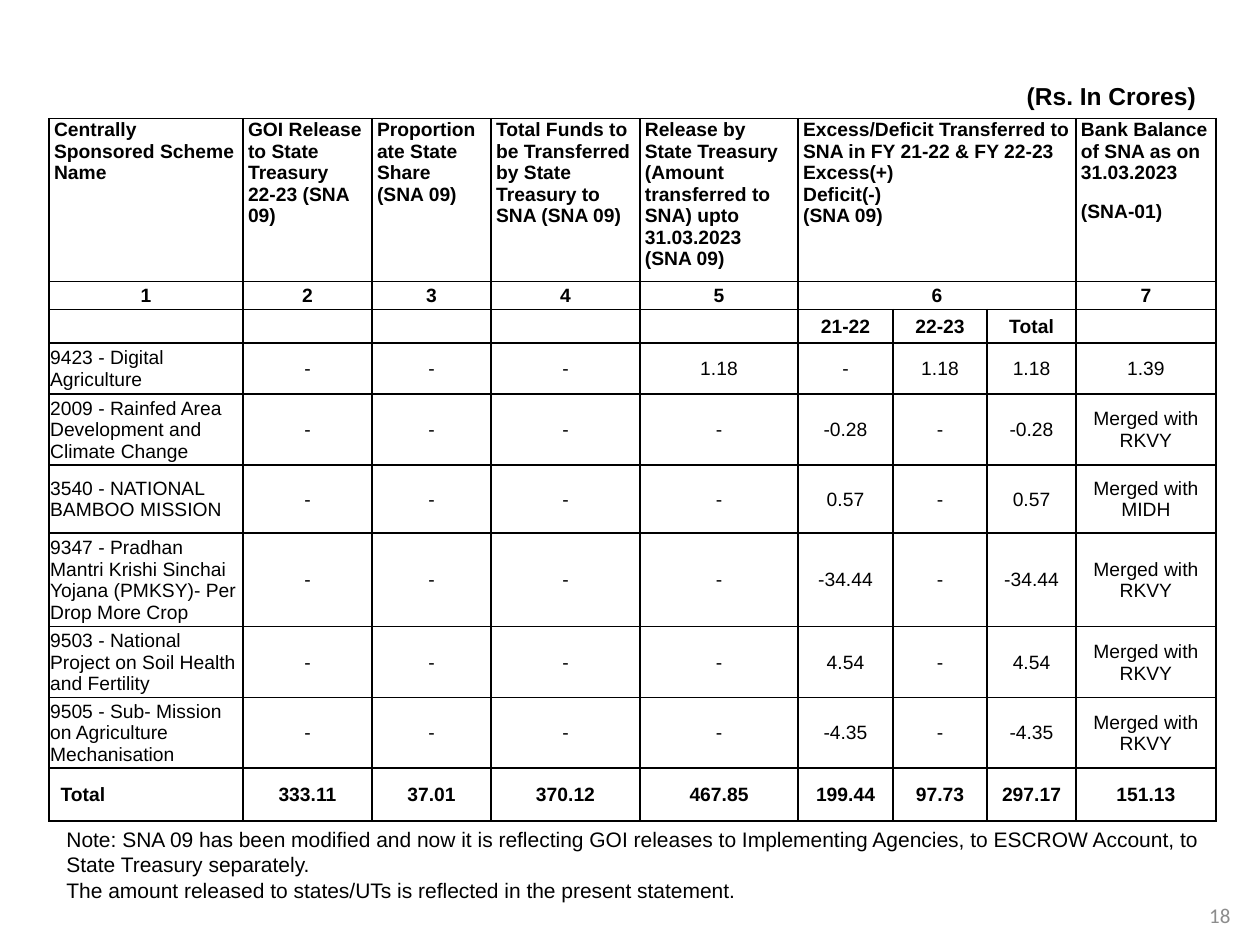
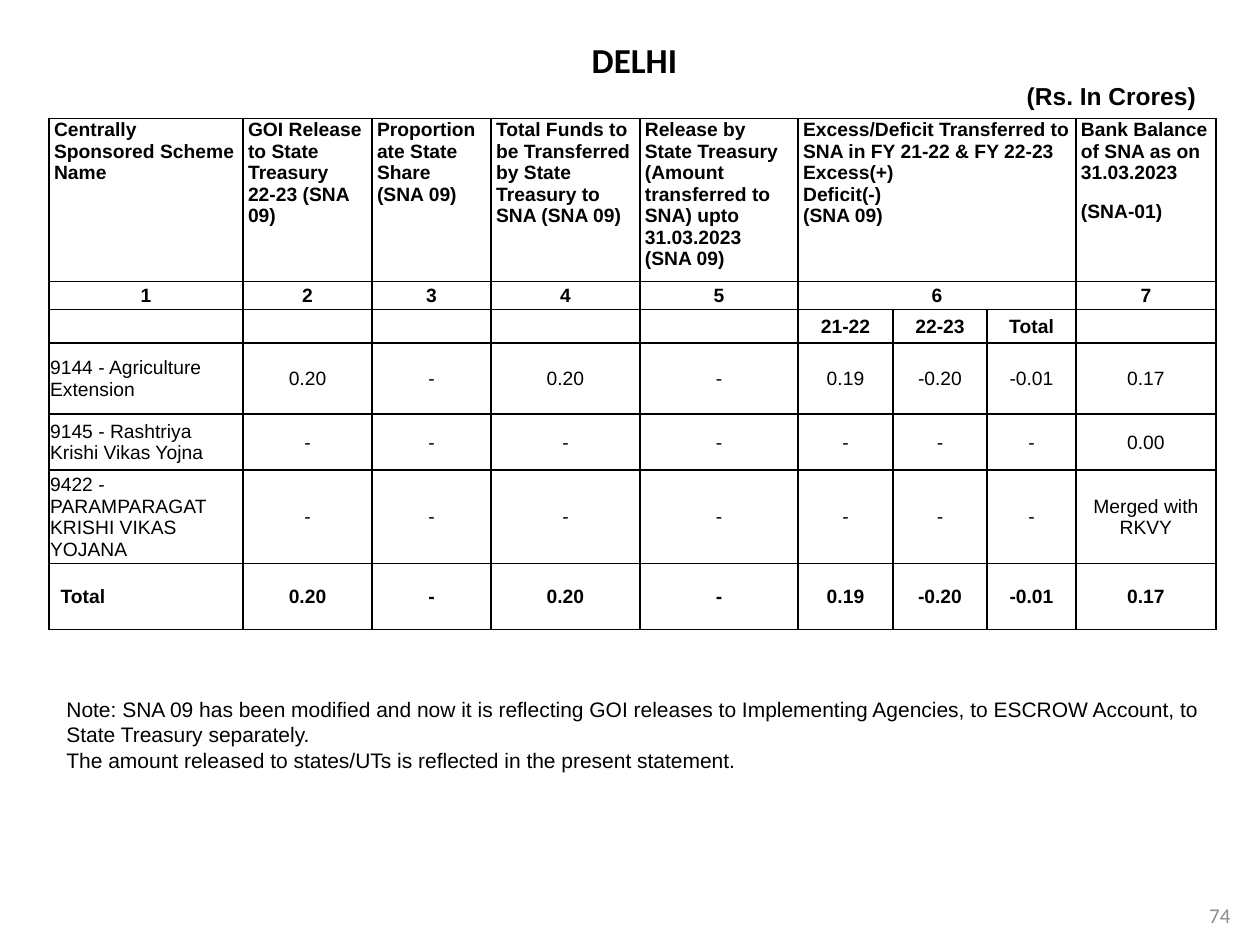
from lxml.etree import SubElement
from pptx import Presentation
from pptx.dml.color import RGBColor
from pptx.enum.text import MSO_ANCHOR as Anchor, MSO_AUTO_SIZE as AutoSize, PP_ALIGN as Align
from pptx.oxml.ns import qn
from pptx.util import Cm, Pt

BLACK, GREY = "000000", "8C8C8C"
TITLE_ONLY, BLANK = 5, 6
LEFT, TEXT_WIDTH = 1.09, 23.4
TABLE_LEFT, TABLE_TOP = 0.99, 2.39
COLUMN_WIDTHS = [3.91, 2.6, 2.4, 3, 3.19, 1.91, 1.9, 1.79, 2.82]
HEAD_HEIGHTS = [3.28, 0.57, 0.67]
SPAN_FIRST, SPAN_LAST = 5, 7

HEADINGS = {
    0: ["Centrally Sponsored Scheme Name"],
    1: ["GOI Release to State Treasury\n22-23 (SNA 09)"],
    2: ["Proportionate State Share\n(SNA 09)"],
    3: ["Total Funds to be Transferred by State Treasury to SNA (SNA 09)"],
    4: ["Release by State Treasury (Amount transferred to SNA) upto 31.03.2023 (SNA 09)"],
    5: ["Excess/Deficit Transferred to SNA in FY 21-22 & FY 22-23",
        "Excess(+)", "Deficit(-)", "(SNA 09)"],
    8: ["Bank Balance of SNA as on 31.03.2023", "(SNA-01)"],
}
SUBHEADINGS = ["", "", "", "", "", "21-22", "22-23", "Total", ""]
NOTE = [
    "Note: SNA 09 has been modified and now it is reflecting GOI releases to "
    "Implementing Agencies, to ESCROW Account, to State Treasury separately.",
    "The amount released to states/UTs is reflected in the present statement.",
]

# Each row: height in cm, then the nine cell texts
FIRST_ROWS = [
    (1.03, "9423 - Digital Agriculture",
     "-", "-", "-", "1.18", "-", "1.18", "1.18", "1.39"),
    (1.43, "2009 - Rainfed Area Development and Climate Change",
     "-", "-", "-", "-", "-0.28", "-", "-0.28", "Merged with RKVY"),
    (1.37, "3540 - NATIONAL BAMBOO MISSION",
     "-", "-", "-", "-", "0.57", "-", "0.57", "Merged with MIDH"),
    (1.89, "9347 - Pradhan Mantri Krishi Sinchai Yojana (PMKSY)- Per Drop More Crop",
     "-", "-", "-", "-", "-34.44", "-", "-34.44", "Merged with RKVY"),
    (1.43, "9503 - National Project on Soil Health and Fertility",
     "-", "-", "-", "-", "4.54", "-", "4.54", "Merged with RKVY"),
    (1.42, "9505 - Sub- Mission on Agriculture Mechanisation",
     "-", "-", "-", "-", "-4.35", "-", "-4.35", "Merged with RKVY"),
    (1.07, "Total",
     "333.11", "37.01", "370.12", "467.85", "199.44", "97.73", "297.17", "151.13"),
]
DELHI_ROWS = [
    (1.43, "9144 - Agriculture Extension",
     "0.20", "-", "0.20", "-", "0.19", "-0.20", "-0.01", "0.17"),
    (1.13, "9145 - Rashtriya Krishi Vikas Yojna",
     "-", "-", "-", "-", "-", "-", "-", "0.00"),
    (1.89, "9422 - PARAMPARAGAT KRISHI VIKAS YOJANA",
     "-", "-", "-", "-", "-", "-", "-", "Merged with RKVY"),
    (1.33, "Total",
     "0.20", "-", "0.20", "-", "0.19", "-0.20", "-0.01", "0.17"),
]


def rgb(value):
    return RGBColor.from_string(value)


def write(frame, lines, size, align=Align.LEFT, bold=False, font="Arial",
          color=BLACK, after=0, spacing=1.0):
    """Fill a text frame, one paragraph a line; a newline is a line break."""
    for index, line in enumerate(lines):
        para = frame.paragraphs[0] if index == 0 else frame.add_paragraph()
        para.alignment = align
        para.line_spacing = spacing
        para.space_before, para.space_after = Pt(0), Pt(after)
        for part_index, part in enumerate(line.split("\n")):
            if part_index:
                para.add_line_break()
            span = para.add_run()
            span.text = part
            span.font.size, span.font.bold, span.font.name = Pt(size), bold, font
            span.font.color.rgb = rgb(color)


def add_text(page, left, top, width, height, lines, size, anchor=Anchor.TOP, **style):
    box = page.shapes.add_textbox(Cm(left), Cm(top), Cm(width), Cm(height))
    box.text_frame.word_wrap = True
    box.text_frame.vertical_anchor = anchor
    write(box.text_frame, lines, size, **style)


def set_title(page, text):
    title = page.shapes.title
    title.left, title.top = Cm(LEFT), Cm(0.64)
    title.width, title.height = Cm(TEXT_WIDTH), Cm(1.1)
    frame = title.text_frame
    frame.auto_size = AutoSize.NONE
    frame.vertical_anchor = Anchor.TOP
    write(frame, [text], 20, align=Align.CENTER, bold=True, font="Calibri")


def frame_cell(cell):
    """Give a cell black borders and no fill."""
    properties = cell._tc.get_or_add_tcPr()
    for side in ("lnL", "lnR", "lnT", "lnB"):
        line = SubElement(properties, qn(f"a:{side}"), w=str(Pt(1)))
        fill = SubElement(line, qn("a:solidFill"))
        SubElement(fill, qn("a:srgbClr"), val=BLACK)
    cell.fill.background()


def fill_cell(cell, lines, side_margin=0.02, anchor=Anchor.MIDDLE, **style):
    cell.margin_left = cell.margin_right = Cm(side_margin)
    cell.margin_top, cell.margin_bottom = Cm(0.02), Cm(0)
    cell.vertical_anchor = anchor
    if any(lines):
        write(cell.text_frame, lines, 11, **style)
    else:
        SubElement(cell.text_frame.paragraphs[0]._p, qn("a:endParaRPr"), sz="1100")


def fill_head(table):
    for row in (0, 1):
        table.cell(row, SPAN_FIRST).merge(table.cell(row, SPAN_LAST))
    for number, (column, lines) in enumerate(HEADINGS.items(), 1):
        after = 0 if column == SPAN_FIRST else 10
        fill_cell(table.cell(0, column), lines, 0.1, Anchor.TOP, bold=True, after=after)
        fill_cell(table.cell(1, column), [str(number)], 0.1, Anchor.TOP, bold=True,
                  align=Align.CENTER, after=10, spacing=1.15)
    for column, text in enumerate(SUBHEADINGS):
        fill_cell(table.cell(2, column), [text], bold=True, align=Align.CENTER)


def add_scheme_table(page, rows):
    heights = HEAD_HEIGHTS + [row[0] for row in rows]
    table = page.shapes.add_table(
        len(heights), len(COLUMN_WIDTHS), Cm(TABLE_LEFT), Cm(TABLE_TOP),
        Cm(sum(COLUMN_WIDTHS)), Cm(sum(heights))).table
    table.first_row = table.horz_banding = False
    for column, width in zip(table.columns, COLUMN_WIDTHS):
        column.width = Cm(width)
    for row, height in zip(table.rows, heights):
        row.height = Cm(height)
    for cell in table.iter_cells():
        frame_cell(cell)
    fill_head(table)
    for index, (_, *texts) in enumerate(rows, len(HEAD_HEIGHTS)):
        is_total = texts[0] == "Total"
        for column, text in enumerate(texts):
            align = Align.CENTER if column else Align.LEFT
            fill_cell(table.cell(index, column), [text], bold=is_total, align=align)
        if is_total:
            table.cell(index, 0).margin_left = Cm(0.23)


def add_statement(deck, rows, note_top, number, title=None):
    """Add one slide with its unit line, table, note and page number."""
    page = deck.slides.add_slide(deck.slide_layouts[TITLE_ONLY if title else BLANK])
    if title:
        set_title(page, title)
    add_text(page, LEFT, 1.5, 23.27, 0.8, ["(Rs. In Crores)"], 14,
             align=Align.RIGHT, bold=True)
    add_scheme_table(page, rows)
    add_text(page, 24.08, 17.93, 1.02, 1.02, [number], 12, Anchor.MIDDLE,
             align=Align.CENTER, font="Calibri", color=GREY)
    add_text(page, LEFT, note_top, TEXT_WIDTH, 1.8, NOTE, 12)


def main():
    deck = Presentation()
    deck.slide_width, deck.slide_height = Cm(25.4), Cm(19.05)
    add_statement(deck, FIRST_ROWS, 16.54, "18")
    add_statement(deck, DELHI_ROWS, 13.92, "74", title="DELHI")
    deck.save("out.pptx")


if __name__ == "__main__":
    main()
